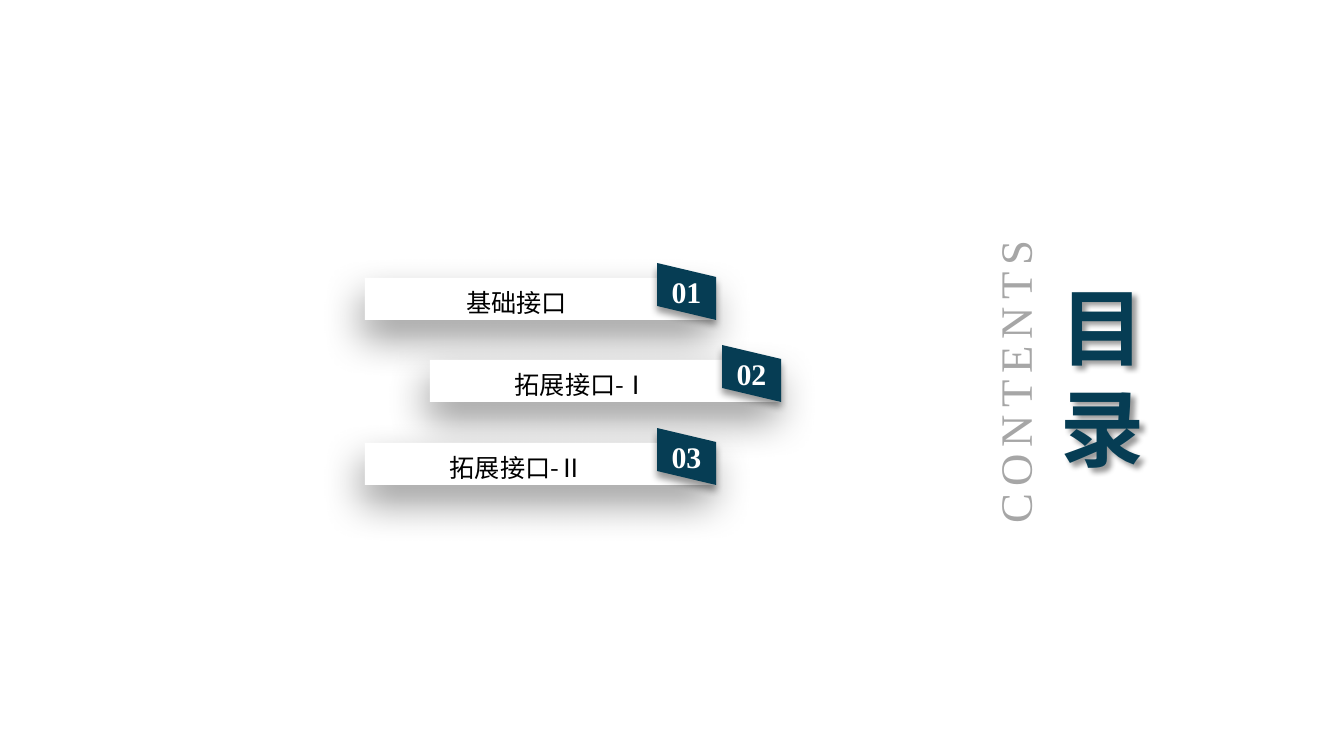
from dataclasses import dataclass
from typing import Any

from lxml import etree
from pptx import Presentation
from pptx.dml.color import RGBColor
from pptx.enum.shapes import MSO_SHAPE
from pptx.enum.text import MSO_ANCHOR, PP_ALIGN
from pptx.oxml.ns import qn
from pptx.util import Emu, Pt

RECT = MSO_SHAPE.RECTANGLE
MIDDLE = MSO_ANCHOR.MIDDLE
CENTER, LEFT = PP_ALIGN.CENTER, PP_ALIGN.LEFT

NAVY = RGBColor(0x06, 0x3D, 0x54)
WHITE = RGBColor(0xFF, 0xFF, 0xFF)
BLACK = RGBColor(0x00, 0x00, 0x00)
GRAY = RGBColor(0xA6, 0xA6, 0xA6)

CJK = "Noto Sans CJK SC"
SERIF = "Times New Roman"
EMU_PER_PX = 914400 / 134.4
BAR_W, BAR_H = 351, 42
TAG_DX, TAG_DY = 292, -15
TAG_OUTLINE = [(0, 0), (0, 43), (59, 57), (59, 14)]


@dataclass(frozen=True)
class Entry:
    number: str
    title: str
    left: int
    top: int


@dataclass(frozen=True)
class Shadow:
    blur: int
    distance: int
    angle: int


ENTRIES = [
    Entry("01", "基础接口", 365, 278),
    Entry("02", "拓展接口-Ⅰ", 430, 360),
    Entry("03", "拓展接口-Ⅱ", 365, 443),
]
BAR_SHADOW = Shadow(22, 10, 101)
TAG_SHADOW = Shadow(4, 3, 90)
TITLE_SHADOW = Shadow(3, 3, 45)

BAR_FONT = {"name": CJK, "size": Pt(13.5)}
TAG_FONT = {"name": SERIF, "size": Pt(16), "bold": True}
CONTENTS_FONT = {"name": SERIF, "size": Pt(24)}
TITLE_FONT = {"name": CJK, "size": Pt(45), "bold": True}

BAR_FRAME = {"margin_left": 12, "margin_right": 59, "margin_top": 0, "margin_bottom": 0}
TAG_FRAME = {"margin_left": 0, "margin_right": 0}


def px(n: int) -> Emu:
    return Emu(round(n * EMU_PER_PX))


def add_shadow(s: Any, shadow: Shadow) -> None:
    s.shadow.inherit = False
    effects = s._element.spPr.find(qn("a:effectLst"))
    outer = etree.SubElement(
        effects, qn("a:outerShdw"), blurRad=str(Pt(shadow.blur)),
        dist=str(Pt(shadow.distance)), dir=str(shadow.angle * 60000),
        algn="t", rotWithShape="0")
    color = etree.SubElement(outer, qn("a:srgbClr"), val=str(BLACK))
    etree.SubElement(color, qn("a:alpha"), val="40000")


def write(s: Any, text: str, font: dict[str, Any], color: RGBColor,
          margins: dict[str, int], align: Any = CENTER, wrap: bool = True) -> Any:
    tf = s.text_frame
    tf.word_wrap = wrap
    tf.vertical_anchor = MIDDLE
    for name, value in margins.items():
        setattr(tf, name, px(value))
    p = tf.paragraphs[0]
    p.alignment = align
    r = p.add_run()
    r.text = text
    for name, value in font.items():
        setattr(r.font, name, value)
    r.font.color.rgb = color
    ea = etree.SubElement(r.font._element, qn("a:ea"))
    ea.set("typeface", font["name"])
    return p


def paint(s: Any, color: RGBColor, shadow: Shadow) -> None:
    s.fill.solid()
    s.fill.fore_color.rgb = color
    s.line.fill.background()
    add_shadow(s, shadow)


def add_entry(shapes: Any, entry: Entry) -> None:
    bar = shapes.add_shape(RECT, px(entry.left), px(entry.top), px(BAR_W), px(BAR_H))
    paint(bar, WHITE, BAR_SHADOW)
    p = write(bar, entry.title, BAR_FONT, BLACK, BAR_FRAME)
    p.line_spacing = 1.2

    left, top = entry.left + TAG_DX, entry.top + TAG_DY
    points = [(px(left + x), px(top + y)) for x, y in TAG_OUTLINE]
    builder = shapes.build_freeform(*points[0])
    builder.add_line_segments(points[1:], close=True)
    tag = builder.convert_to_shape()
    paint(tag, NAVY, TAG_SHADOW)
    write(tag, entry.number, TAG_FONT, WHITE, TAG_FRAME)


def add_heading(shapes: Any) -> None:
    s = shapes.add_textbox(px(823), px(349), px(382), px(66))
    s.rotation = 270
    p = write(s, "CONTENTS", CONTENTS_FONT, GRAY, {}, wrap=False)
    p.runs[0].font._element.set("spc", "380")

    s = shapes.add_textbox(px(1047), px(310), px(62), px(132))
    write(s, "目录", TITLE_FONT, NAVY, {}, align=LEFT)
    add_shadow(s, TITLE_SHADOW)


def main() -> None:
    prs = Presentation()
    prs.slide_width, prs.slide_height = px(1344), px(756)
    slide = prs.slides.add_slide(prs.slide_layouts[6])
    for entry in ENTRIES:
        add_entry(slide.shapes, entry)
    add_heading(slide.shapes)
    prs.save("out.pptx")


if __name__ == "__main__":
    main()
